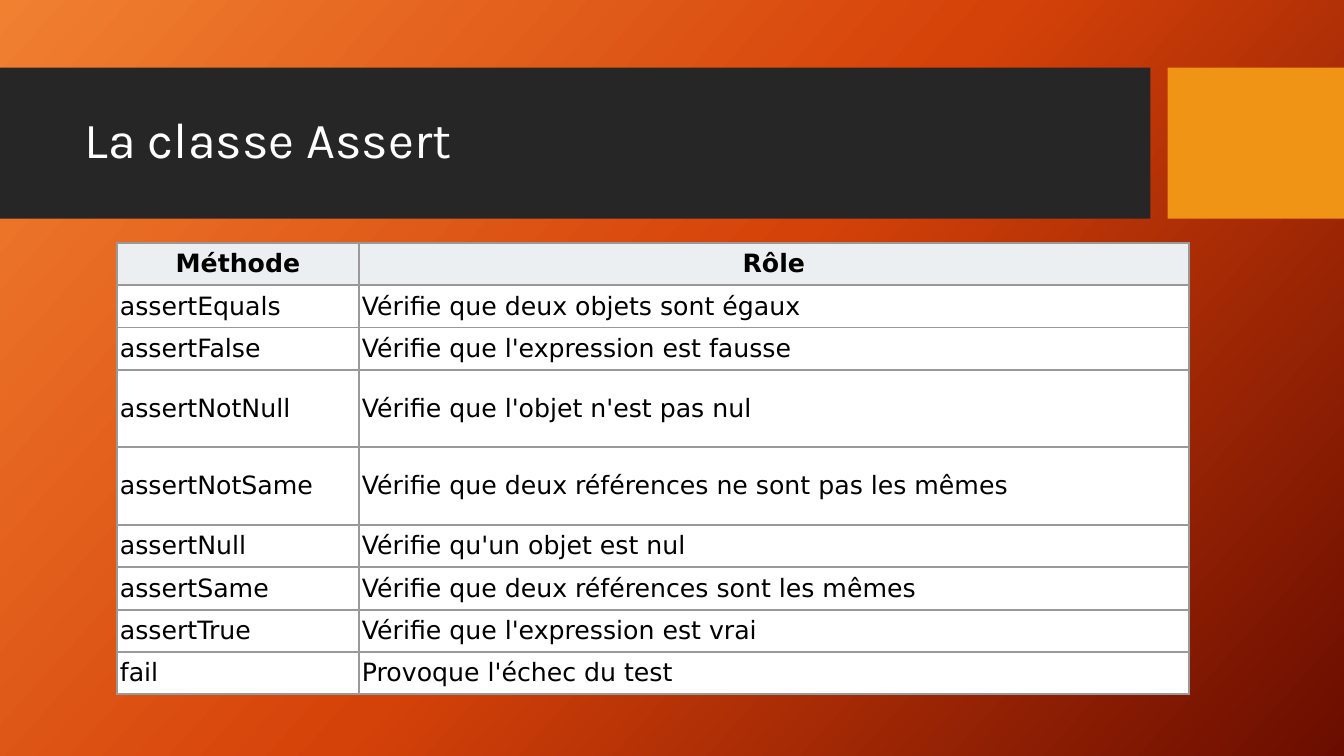
import copy
from dataclasses import dataclass

import pptx
import pptx.dml.color
import pptx.enum.shapes
import pptx.enum.text
import pptx.oxml
import pptx.oxml.ns
import pptx.util
from pptx.util import Inches


@dataclass(frozen=True)
class Theme:
    background: tuple = ("F18031", "D54209", "6A0D00")
    band: str = "262626"
    accent: str = "F09415"
    title_text: str = "FFFFFF"
    header_fill: str = "EBEFF2"
    body_fill: str = "FFFFFF"
    table_text: str = "000000"
    border: str = "999999"
    title_font: str = "Karla"
    table_font: str = "DejaVu Sans"
    title_size: int = 36
    table_size: int = 18
    border_width: float = 1.5


THEME = Theme()
ROWS = [
    ("Méthode", "Rôle"),
    ("assertEquals", "Vérifie que deux objets sont égaux"),
    ("assertFalse", "Vérifie que l'expression est fausse"),
    ("assertNotNull", "Vérifie que l'objet n'est pas nul"),
    ("assertNotSame", "Vérifie que deux références ne sont pas les mêmes"),
    ("assertNull", "Vérifie qu'un objet est nul"),
    ("assertSame", "Vérifie que deux références sont les mêmes"),
    ("assertTrue", "Vérifie que l'expression est vrai"),
    ("fail", "Provoque l'échec du test"),
]
TALL_ROWS = {"assertNotNull", "assertNotSame"}
COLUMN_WIDTHS = (2.4, 8.23)


def rgb(value):
    return pptx.dml.color.RGBColor.from_string(value)


def paint_background(page):
    """Fill the page with an evenly spaced diagonal gradient."""
    fill = page.background.fill
    fill.gradient()
    fill.gradient_angle = 318
    last_stop = fill._fill._gradFill.gsLst[-1]
    last_stop.addprevious(copy.deepcopy(last_stop))
    stops = fill.gradient_stops
    for index, (stop, color) in enumerate(zip(stops, THEME.background)):
        stop.position = index / (len(THEME.background) - 1)
        stop.color.rgb = rgb(color)


def add_band(page, left, width, color):
    band = page.shapes.add_shape(
        pptx.enum.shapes.MSO_SHAPE.RECTANGLE,
        Inches(left), Inches(0.67), Inches(width), Inches(1.5))
    band.shadow.inherit = False
    band.fill.solid()
    band.fill.fore_color.rgb = rgb(color)
    band.line.fill.background()


def format_runs(para, font, size, color, bold=False):
    for span in para.runs:
        span.font.name = font
        span.font.size = pptx.util.Pt(size)
        span.font.color.rgb = rgb(color)
        span.font.bold = bold


def set_title(page, text):
    """Fill the title placeholder and bring it in front of the bands."""
    title = page.shapes.title
    title.left, title.top = Inches(0.74), Inches(0.82)
    title.width, title.height = Inches(10.51), Inches(1.18)
    title.text_frame.text = text
    title.text_frame.vertical_anchor = pptx.enum.text.MSO_ANCHOR.MIDDLE
    para = title.text_frame.paragraphs[0]
    para.alignment = pptx.enum.text.PP_ALIGN.LEFT
    para.line_spacing = 0.9
    format_runs(para, THEME.title_font, THEME.title_size, THEME.title_text)
    title.element.getparent().append(title.element)


def add_borders(cell):
    properties = cell._tc.get_or_add_tcPr()
    width = pptx.util.Pt(THEME.border_width)
    for side in ("lnL", "lnR", "lnT", "lnB"):
        properties.append(pptx.oxml.parse_xml(
            f'<a:{side} {pptx.oxml.ns.nsdecls("a")} w="{width}"><a:solidFill>'
            f'<a:srgbClr val="{THEME.border}"/></a:solidFill></a:{side}>'))


def format_cell(cell, text, is_header):
    align = pptx.enum.text.PP_ALIGN
    add_borders(cell)
    cell.fill.solid()
    cell.fill.fore_color.rgb = rgb(THEME.header_fill if is_header else THEME.body_fill)
    cell.margin_left = cell.margin_right = Inches(0.03)
    cell.margin_top = cell.margin_bottom = Inches(0.03)
    cell.vertical_anchor = pptx.enum.text.MSO_ANCHOR.MIDDLE
    cell.text_frame.text = text
    para = cell.text_frame.paragraphs[0]
    para.alignment = align.CENTER if is_header else align.JUSTIFY
    format_runs(para, THEME.table_font, THEME.table_size, THEME.table_text, is_header)


def add_method_table(page):
    heights = [0.77 if method in TALL_ROWS else 0.42 for method, _ in ROWS]
    table = page.shapes.add_table(
        len(ROWS), len(COLUMN_WIDTHS), Inches(1.16), Inches(2.41),
        Inches(sum(COLUMN_WIDTHS)), Inches(sum(heights))).table
    table.horz_banding = False
    for column, width in zip(table.columns, COLUMN_WIDTHS):
        column.width = Inches(width)
    for index, (row, height, texts) in enumerate(zip(table.rows, heights, ROWS)):
        row.height = Inches(height)
        for cell, text in zip(row.cells, texts):
            format_cell(cell, text, is_header=index == 0)


def main():
    deck = pptx.Presentation()
    deck.slide_width, deck.slide_height = Inches(13.33), Inches(7.5)
    page = deck.slides.add_slide(deck.slide_layouts.get_by_name("Title Only"))
    paint_background(page)
    add_band(page, 0, 11.41, THEME.band)
    add_band(page, 11.58, 1.75, THEME.accent)
    set_title(page, "La classe Assert")
    add_method_table(page)
    deck.save("out.pptx")


if __name__ == "__main__":
    main()
